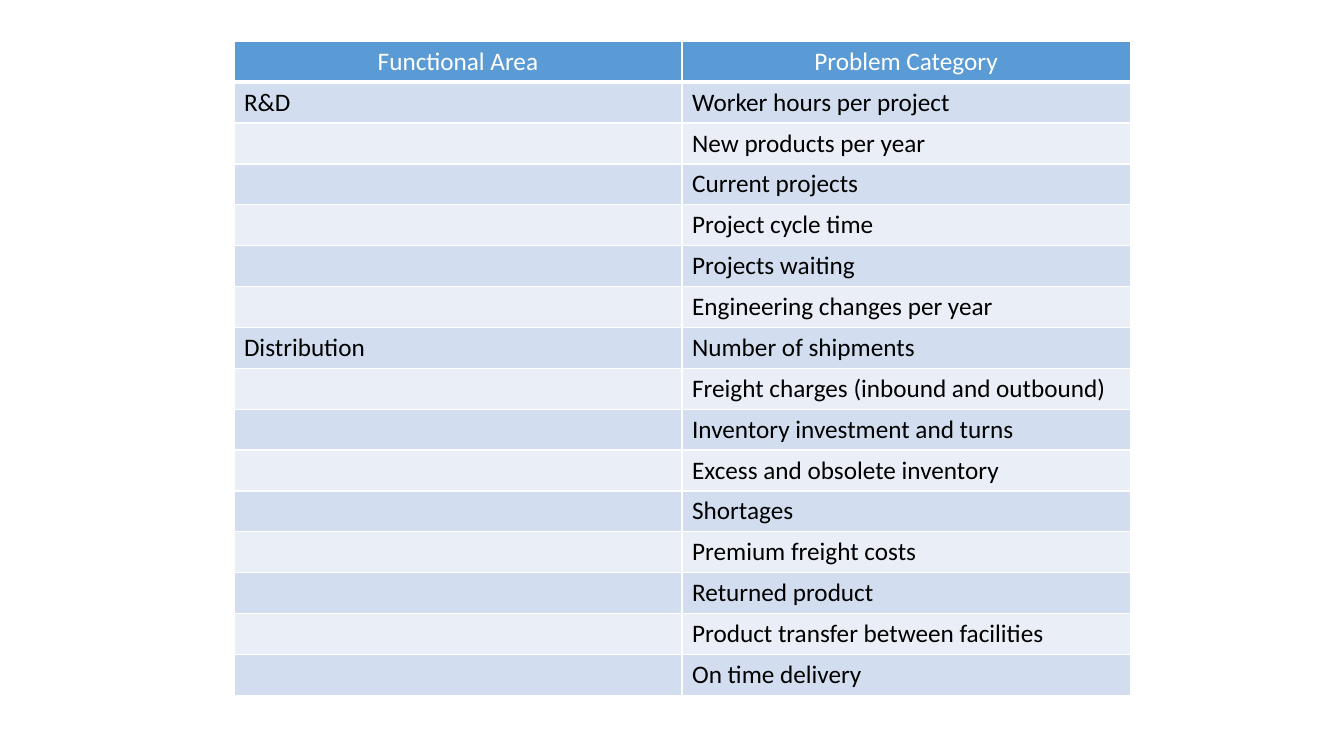
from dataclasses import dataclass

from lxml.etree import SubElement
from pptx import Presentation
from pptx.dml.color import RGBColor
from pptx.enum.text import PP_ALIGN
from pptx.oxml.ns import qn
from pptx.table import _Cell
from pptx.util import Emu, Inches, Pt

SLIDE_WIDTH, SLIDE_HEIGHT = Inches(13.33), Inches(7.5)
# Table frame in inches
LEFT, TOP, WIDTH, HEIGHT = 2.32, 0.41, 8.89, 6.49
WHITE, BLACK, HEADER_BLUE = "FFFFFF", "000000", "5B9BD5"
BANDS = ("D2DEEF", "EAEFF7")
HEADINGS = ("Functional Area", "Problem Category")


@dataclass(frozen=True)
class FunctionalArea:
    name: str
    problems: tuple[str, ...]


AREAS = (
    FunctionalArea("R&D", (
        "Worker hours per project",
        "New products per year",
        "Current projects",
        "Project cycle time",
        "Projects waiting",
        "Engineering changes per year",
    )),
    FunctionalArea("Distribution", (
        "Number of shipments",
        "Freight charges (inbound and outbound)",
        "Inventory investment and turns",
        "Excess and obsolete inventory",
        "Shortages",
        "Premium freight costs",
        "Returned product",
        "Product transfer between facilities",
        "On time delivery",
    )),
)


def color(value: str) -> RGBColor:
    return RGBColor.from_string(value)


def write_text(cell: _Cell, text: str, *, ink: str = BLACK, size: float = 18,
               align: PP_ALIGN = PP_ALIGN.LEFT) -> None:
    paragraph = cell.text_frame.paragraphs[0]
    paragraph.alignment = align
    if text:
        run = paragraph.add_run()
        run.text = text
        run.font.name = "Calibri"
        run.font.size = Pt(size)
        run.font.bold = False
        run.font.color.rgb = color(ink)


def style_cell(cell: _Cell, fill: str, bottom: float = 1) -> None:
    # Borders come before the fill in the cell's properties
    properties = cell._tc.get_or_add_tcPr()
    for side, width in (("L", 1), ("R", 1), ("T", 1), ("B", bottom)):
        line = SubElement(properties, qn(f"a:ln{side}"), w=str(Pt(width)))
        solid = SubElement(line, qn("a:solidFill"))
        SubElement(solid, qn("a:srgbClr"), val=WHITE)
    cell.fill.solid()
    cell.fill.fore_color.rgb = color(fill)


def main() -> None:
    presentation = Presentation()
    presentation.slide_width, presentation.slide_height = SLIDE_WIDTH, SLIDE_HEIGHT
    slide = presentation.slides.add_slide(presentation.slide_layouts[6])

    # Each area is named only beside its first problem
    entries = [(area.name if index == 0 else "", problem)
               for area in AREAS for index, problem in enumerate(area.problems)]
    row_count = len(entries) + 1
    table = slide.shapes.add_table(row_count, len(HEADINGS), Inches(LEFT), Inches(TOP),
                                   Inches(WIDTH), Inches(HEIGHT)).table
    table.horz_banding = False
    for row in table.rows:
        row.height = Emu(Inches(HEIGHT) // row_count)

    # Header row
    for column, heading in enumerate(HEADINGS):
        cell = table.cell(0, column)
        style_cell(cell, HEADER_BLUE, bottom=3)
        write_text(cell, heading, ink=WHITE, align=PP_ALIGN.CENTER)

    # Banded body rows
    for index, entry in enumerate(entries):
        for column, text in enumerate(entry):
            cell = table.cell(index + 1, column)
            style_cell(cell, BANDS[index % len(BANDS)])
            write_text(cell, text)

    presentation.save("out.pptx")


if __name__ == "__main__":
    main()
